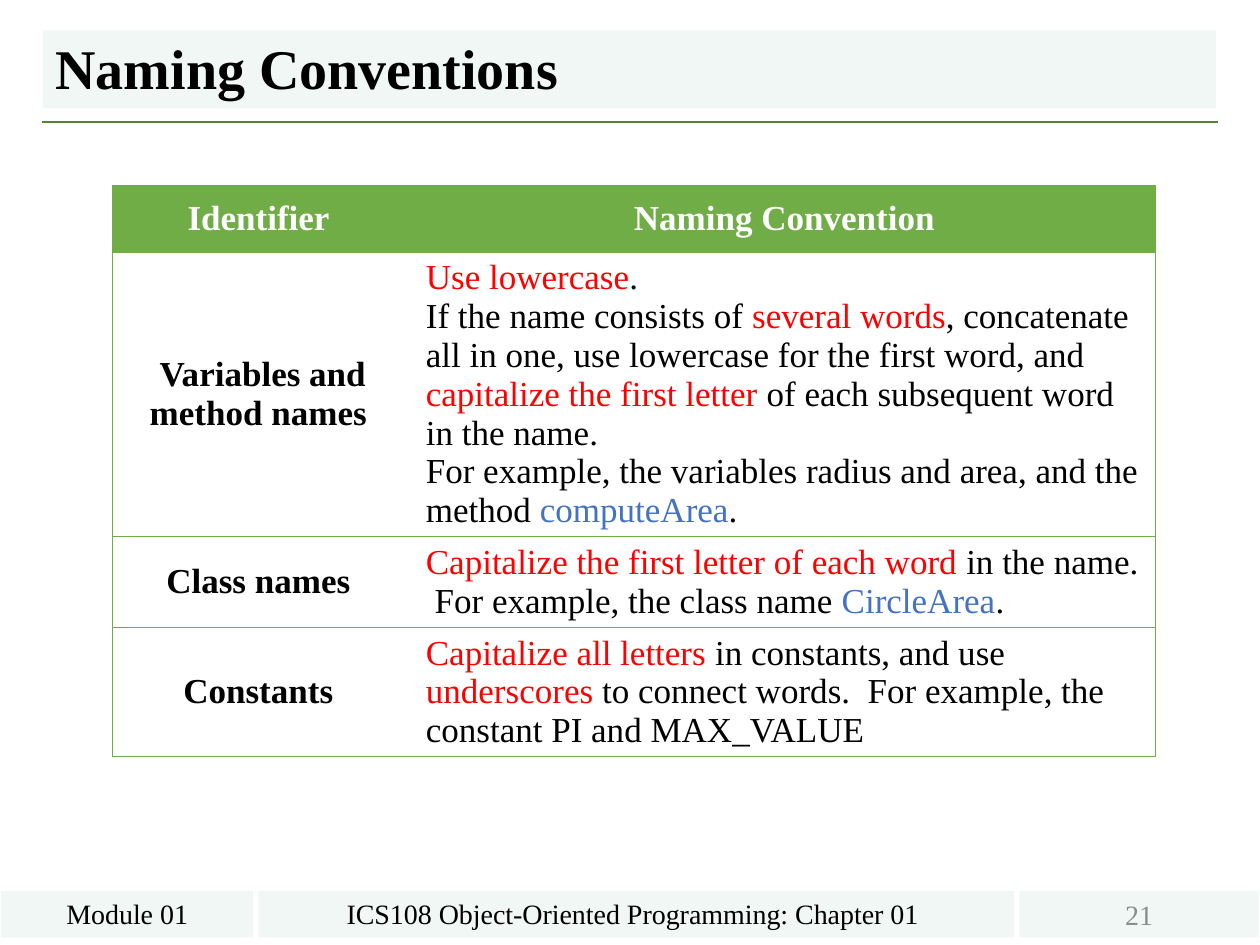
from lxml import etree
from pptx import Presentation
from pptx.dml.color import RGBColor
from pptx.enum import shapes, text
from pptx.oxml import ns
from pptx.util import Inches, Pt

FONT = "Times New Roman"
BLACK, WHITE, RED, BLUE, GREEN = "000000", "FFFFFF", "FF0000", "4472C4", "70AD47"
PANEL, RULE, GRAY = "F1F7F4", "548235", "8C8C8C"

HEADINGS = ["Identifier ", "Naming Convention"]
CONVENTIONS = [
    ("Variables and method names ", [
        [("Use lowercase", RED), (".", BLACK)],
        [("If the name consists of ", BLACK), ("several words", RED),
         (", concatenate all in one, use lowercase for the first word, and ", BLACK),
         ("capitalize the first letter ", RED),
         ("of each subsequent word in the name.", BLACK)],
        [("For example, the variables radius and area, and the method ", BLACK),
         ("computeArea", BLUE), (".", BLACK)],
    ]),
    ("Class names ", [
        [("Capitalize the first letter of each word ", RED),
         ("in the name.  For example, the class name ", BLACK),
         ("CircleArea", BLUE), (".", BLACK)],
    ]),
    ("Constants ", [
        [("Capitalize all letters ", RED), ("in constants, and use ", BLACK),
         ("underscores", RED),
         (" to connect words.  For example, the constant PI and MAX_VALUE", BLACK)],
    ]),
]
COLUMN_WIDTHS = [2.39, 5.89]
ROW_HEIGHTS = [0.53, 2.26, 0.72, 1.02]
FOOTERS = [
    ("Module 01", 0.01, 2, BLACK, text.MSO_ANCHOR.TOP),
    ("ICS108 Object-Oriented Programming: Chapter 01 ", 2.05, 6, BLACK, text.MSO_ANCHOR.TOP),
    ("21", 8.09, 1.9, GRAY, text.MSO_ANCHOR.MIDDLE),
]


def color(value):
    return RGBColor.from_string(value)


def paint(target, value):
    target.fill.solid()
    target.fill.fore_color.rgb = color(value)


def style_span(span, size, value, bold=False):
    span.font.name = FONT
    span.font.size = Pt(size)
    span.font.bold = bold
    span.font.color.rgb = color(value)


def write_spans(para, spans, size, bold=False):
    for words, value in spans:
        span = para.add_run()
        span.text = words
        style_span(span, size, value, bold)


def add_title(page, words):
    title = page.shapes.title
    title.left, title.top = Inches(0.34), Inches(0.24)
    title.width, title.height = Inches(9.31), Inches(0.62)
    paint(title, PANEL)
    frame = title.text_frame
    frame.vertical_anchor = text.MSO_ANCHOR.BOTTOM
    frame.auto_size = text.MSO_AUTO_SIZE.NONE
    para = frame.paragraphs[0]
    para.alignment = text.PP_ALIGN.LEFT
    para.line_spacing = 0.9
    write_spans(para, [(words, BLACK)], 32, True)


def add_rule(page):
    rule = page.shapes.add_connector(
        shapes.MSO_CONNECTOR.STRAIGHT, Inches(0.33), Inches(0.97), Inches(9.67), Inches(0.97))
    rule.line.color.rgb = color(RULE)
    rule.line.width = Pt(1.5)
    etree.SubElement(rule._element.spPr, ns.qn("a:effectLst"))


def add_footer(page, words, left, width, value, anchor):
    box = page.shapes.add_shape(
        shapes.MSO_SHAPE.RECTANGLE, Inches(left), Inches(7.07), Inches(width), Inches(0.37))
    box.shadow.inherit = False
    paint(box, PANEL)
    box.line.fill.background()
    frame = box.text_frame
    frame.vertical_anchor = anchor
    para = frame.paragraphs[0]
    para.alignment = text.PP_ALIGN.CENTER
    write_spans(para, [(words, value)], 16)


def set_borders(cell, sides):
    properties = cell._tc.get_or_add_tcPr()
    for index, side in enumerate("LRTB"):
        border = etree.Element(ns.qn(f"a:ln{side}"), w=str(Pt(0.5)))
        if side in sides:
            fill = etree.SubElement(border, ns.qn("a:solidFill"))
            etree.SubElement(fill, ns.qn("a:srgbClr"), val=GREEN)
        else:
            etree.SubElement(border, ns.qn("a:noFill"))
        properties.insert(index, border)


def fill_cell(cell, paragraphs, background, centered, sides):
    paint(cell, background)
    set_borders(cell, sides)
    cell.vertical_anchor = text.MSO_ANCHOR.MIDDLE
    frame = cell.text_frame
    for index, spans in enumerate(paragraphs):
        para = frame.add_paragraph() if index else frame.paragraphs[0]
        para.alignment = text.PP_ALIGN.CENTER if centered else text.PP_ALIGN.LEFT
        write_spans(para, spans, 20, centered)


def add_conventions(page):
    table = page.shapes.add_table(
        len(ROW_HEIGHTS), len(COLUMN_WIDTHS), Inches(0.89), Inches(1.47),
        Inches(sum(COLUMN_WIDTHS)), Inches(sum(ROW_HEIGHTS))).table
    table.first_row = True
    table.horz_banding = False
    for column, width in zip(table.columns, COLUMN_WIDTHS):
        column.width = Inches(width)
    for row, height in zip(table.rows, ROW_HEIGHTS):
        row.height = Inches(height)
    for column, heading in enumerate(HEADINGS):
        fill_cell(table.cell(0, column), [[(heading, WHITE)]], GREEN, True, "LTB" if column == 0 else "RTB")
    for row, (identifier, rules) in enumerate(CONVENTIONS, 1):
        fill_cell(table.cell(row, 0), [[(identifier, BLACK)]], WHITE, True, "LTB")
        fill_cell(table.cell(row, 1), rules, WHITE, False, "RTB")


def main():
    deck = Presentation()
    deck.slide_width, deck.slide_height = Inches(10), Inches(7.5)
    page = deck.slides.add_slide(deck.slide_layouts[5])
    add_rule(page)
    add_title(page, "Naming Conventions")
    for footer in FOOTERS:
        add_footer(page, *footer)
    add_conventions(page)
    deck.save("out.pptx")


if __name__ == "__main__":
    main()
